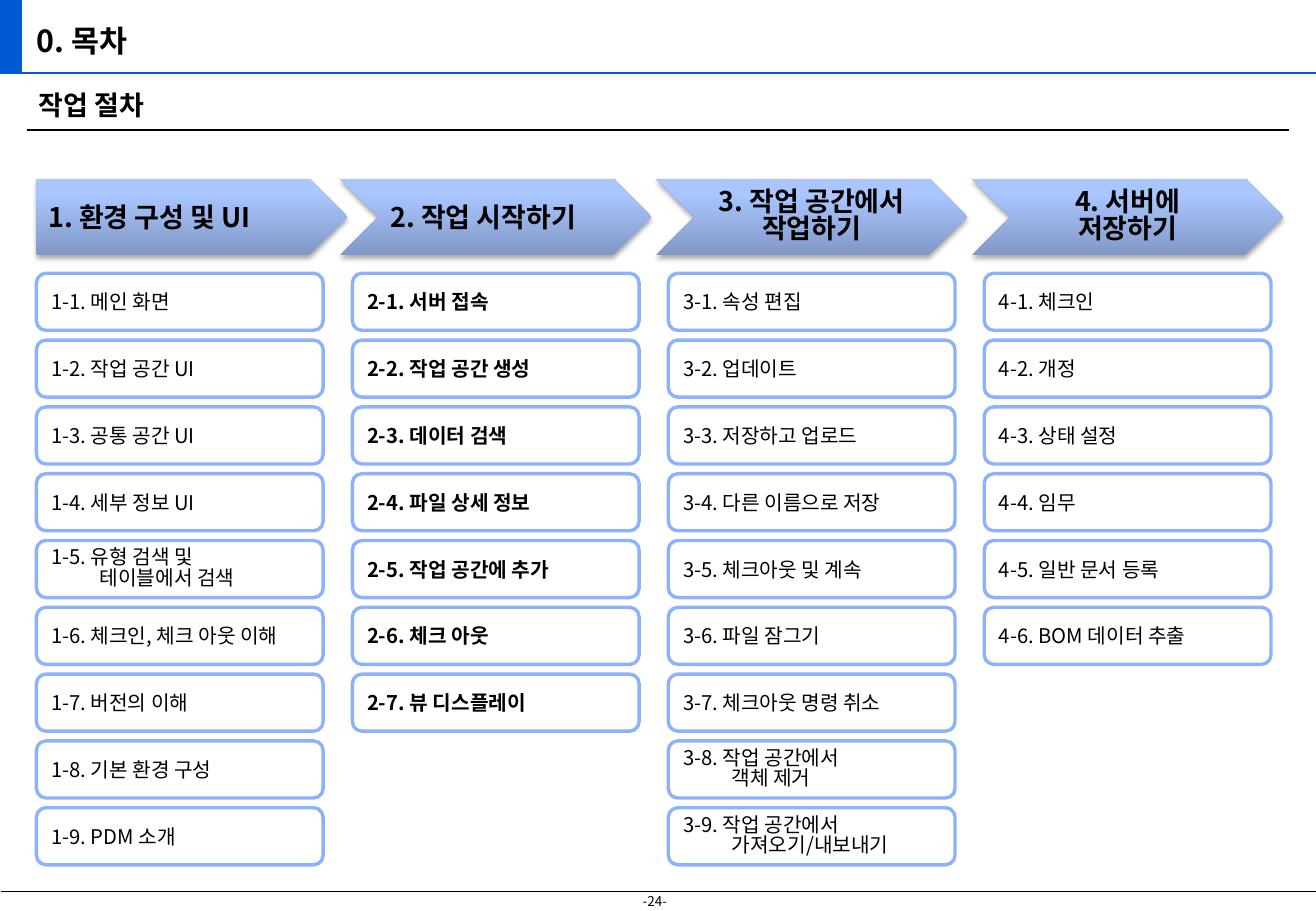
from copy import deepcopy
from dataclasses import dataclass

from lxml import etree
from pptx import Presentation
from pptx.dml.color import RGBColor
from pptx.enum.shapes import MSO_CONNECTOR, MSO_SHAPE
from pptx.enum.text import MSO_ANCHOR, MSO_AUTO_SIZE, PP_ALIGN
from pptx.oxml.ns import qn
from pptx.util import Pt

LEFT, CENTER = PP_ALIGN.LEFT, PP_ALIGN.CENTER
MIDDLE = MSO_ANCHOR.MIDDLE
NO_AUTOSIZE = MSO_AUTO_SIZE.NONE
STRAIGHT = MSO_CONNECTOR.STRAIGHT
RECTANGLE = MSO_SHAPE.RECTANGLE
PENTAGON, CHEVRON = MSO_SHAPE.PENTAGON, MSO_SHAPE.CHEVRON
ROUNDED_BOX = MSO_SHAPE.FLOWCHART_ALTERNATE_PROCESS

EMU_PER_PX = 9144
SLIDE_WIDTH, SLIDE_HEIGHT = 1083, 750


@dataclass(frozen=True)
class Theme:
    font: str = "Noto Sans CJK KR"
    text: str = "000000"
    accent: str = "005BD3"
    box_fill: str = "FFFFFF"
    box_line: str = "8CB1FE"
    arrow_stops: tuple = ((0, "8198C6"), (0.8, "AAC6FF"), (1, "ACC7FF"))
    title_size: int = 18
    heading_size: int = 16
    item_size: int = 12
    page_size: int = 8
    rule_width: float = 0.75
    box_line_width: int = 2
    two_line_spacing: float = 0.85


THEME = Theme()

STEPS = [
    (["1. 환경 구성 및 UI"], [
        ["1-1. 메인 화면"], ["1-2. 작업 공간 UI"], ["1-3. 공통 공간 UI"],
        ["1-4. 세부 정보 UI"], ["1-5. 유형 검색 및", "테이블에서 검색"],
        ["1-6. 체크인, 체크 아웃 이해"], ["1-7. 버전의 이해"],
        ["1-8. 기본 환경 구성"], ["1-9. PDM 소개"]]),
    (["2. 작업 시작하기"], [
        ["2-1. 서버 접속"], ["2-2. 작업 공간 생성"], ["2-3. 데이터 검색"],
        ["2-4. 파일 상세 정보"], ["2-5. 작업 공간에 추가"], ["2-6. 체크 아웃"],
        ["2-7. 뷰 디스플레이"]]),
    (["3. 작업 공간에서", "작업하기"], [
        ["3-1. 속성 편집"], ["3-2. 업데이트"], ["3-3. 저장하고 업로드"],
        ["3-4. 다른 이름으로 저장"], ["3-5. 체크아웃 및 계속"],
        ["3-6. 파일 잠그기"], ["3-7. 체크아웃 명령 취소"],
        ["3-8. 작업 공간에서", "객체 제거"],
        ["3-9. 작업 공간에서", "가져오기/내보내기"]]),
    (["4. 서버에", "저장하기"], [
        ["4-1. 체크인"], ["4-2. 개정"], ["4-3. 상태 설정"], ["4-4. 임무"],
        ["4-5. 일반 문서 등록"], ["4-6. BOM 데이터 추출"]]),
]
CURRENT_STEP = 1


def px(*lengths):
    return [length * EMU_PER_PX for length in lengths]


def color(value):
    return RGBColor.from_string(value)


def write_text(shape, lines, size, bold=False, align=LEFT, wrap=True,
               hanging=0, inset=(10, 5)):
    frame = shape.text_frame
    frame.auto_size = NO_AUTOSIZE
    frame.word_wrap = wrap
    frame.vertical_anchor = MIDDLE
    frame.margin_left = frame.margin_right = inset[0] * EMU_PER_PX
    frame.margin_top = frame.margin_bottom = inset[1] * EMU_PER_PX
    for index, line in enumerate(lines):
        paragraph = frame.add_paragraph() if index else frame.paragraphs[0]
        paragraph.alignment = align
        if len(lines) > 1:
            paragraph.line_spacing = THEME.two_line_spacing
        if index and hanging:
            paragraph._p.get_or_add_pPr().set("marL", str(hanging * EMU_PER_PX))
        run = paragraph.add_run()
        run.text = line
        run.font.size = Pt(size)
        run.font.bold = bold
        run.font.color.rgb = color(THEME.text)
        run.font.name = THEME.font
        etree.SubElement(run._r.rPr, qn("a:ea"), typeface=THEME.font)


def add_rule(slide, left, top, width, line_color):
    rule = slide.shapes.add_connector(STRAIGHT, *px(left, top, left + width, top))
    rule.line.color.rgb = color(line_color)
    rule.line.width = Pt(THEME.rule_width)
    etree.SubElement(rule._element.spPr, qn("a:effectLst"))


def add_block(slide, kind, box):
    shape = slide.shapes.add_shape(kind, *px(*box))
    shape.shadow.inherit = False
    shape.line.fill.background()
    return shape


def add_shadow(shape):
    effects = shape._element.spPr.find(qn("a:effectLst"))
    shadow = etree.SubElement(effects, qn("a:outerShdw"), blurRad="40000",
                              dist="23000", dir="5400000", rotWithShape="0")
    shade = etree.SubElement(shadow, qn("a:srgbClr"), val=THEME.text)
    etree.SubElement(shade, qn("a:alpha"), val="35000")


def fill_gradient(shape):
    shape.fill.gradient()
    shape.fill.gradient_angle = 90
    stop_list = shape._element.spPr.find(".//" + qn("a:gsLst"))
    stop_list.append(deepcopy(stop_list[-1]))
    for stop, (position, value) in zip(shape.fill.gradient_stops, THEME.arrow_stops):
        stop.position = position
        stop.color.rgb = color(value)


def add_header(slide, left, top, width, height):
    band = add_block(slide, RECTANGLE, (left, top, 18, height))
    band.fill.solid()
    band.fill.fore_color.rgb = color(THEME.accent)
    add_rule(slide, left, top + height, width, THEME.accent)
    title = slide.shapes.title
    title.left, title.top, title.width, title.height = px(left + 22, top + 14, 535, 38)
    write_text(title, ["0. 목차"], THEME.title_size, bold=True, inset=(8, 4))


def add_subtitle(slide, left, top, width, height):
    subtitle = slide.shapes.add_textbox(*px(left, top, width, height))
    write_text(subtitle, ["작업 절차"], THEME.heading_size, bold=True)
    add_rule(slide, left, top + height + 2, width, THEME.text)


def add_step(slide, left, top, width, index):
    heading, items = STEPS[index]
    kind, shift = (CHEVRON, -10) if index else (PENTAGON, 0)
    arrow = add_block(slide, kind, (left + shift, top, width + 20, 63))
    fill_gradient(arrow)
    add_shadow(arrow)
    write_text(arrow, heading, THEME.heading_size, bold=True,
               align=CENTER if len(heading) > 1 else LEFT)
    for row, lines in enumerate(items):
        item = add_block(slide, ROUNDED_BOX, (left, top + 78 + 55 * row, width, 47))
        item.fill.solid()
        item.fill.fore_color.rgb = color(THEME.box_fill)
        item.line.color.rgb = color(THEME.box_line)
        item.line.width = Pt(THEME.box_line_width)
        write_text(item, lines, THEME.item_size, bold=index == CURRENT_STEP, hanging=40)


def add_footer(slide, left, top, width):
    add_rule(slide, left, top, width, THEME.text)
    number = slide.shapes.add_textbox(*px(left + 516, top - 4, 44, 24))
    write_text(number, ["-24-"], THEME.page_size, align=CENTER, wrap=False)


def main():
    presentation = Presentation()
    presentation.slide_width, presentation.slide_height = px(SLIDE_WIDTH, SLIDE_HEIGHT)
    slide = presentation.slides.add_slide(presentation.slide_layouts[5])
    add_header(slide, 0, 0, SLIDE_WIDTH, 60)
    add_subtitle(slide, 22, 68, 1039, 37)
    for index in range(len(STEPS)):
        add_step(slide, 30 + 260 * index, 147, 236, index)
    add_footer(slide, 1, 734, SLIDE_WIDTH - 1)
    presentation.save("out.pptx")


if __name__ == "__main__":
    main()
